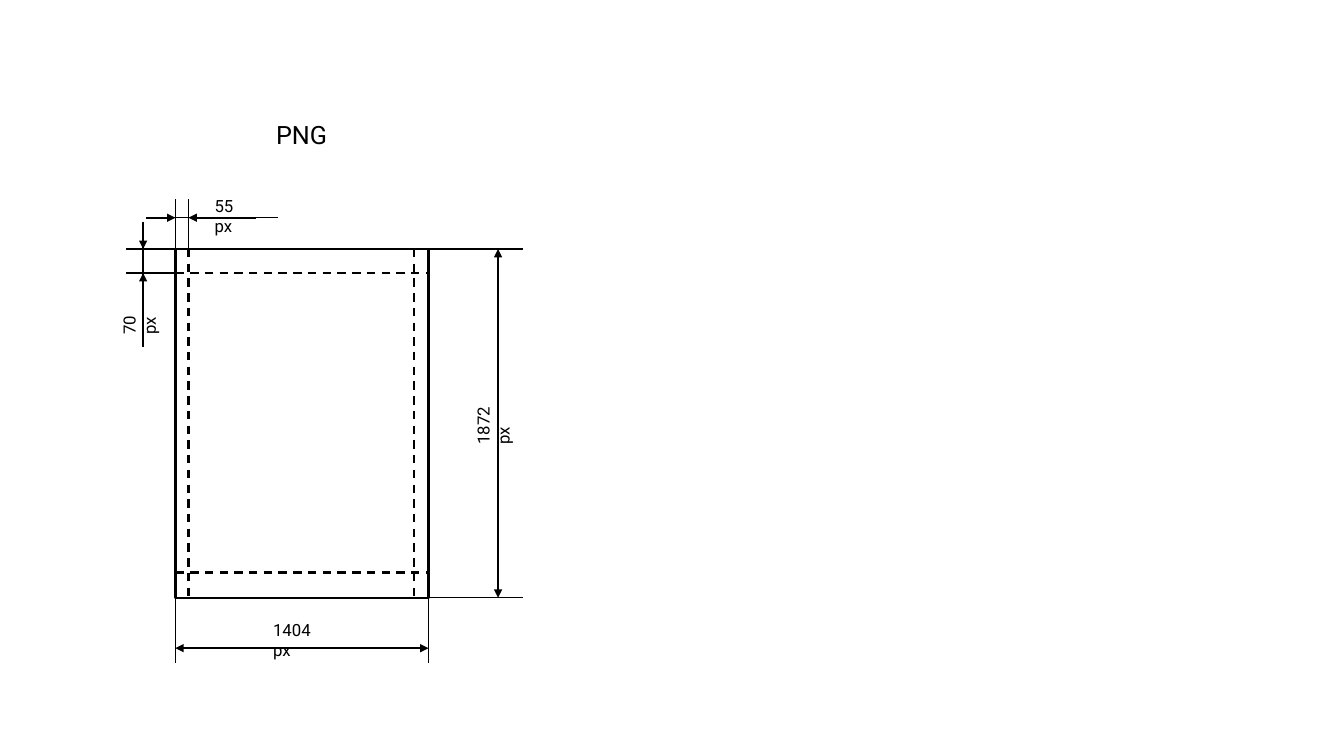
"""Build a dimension drawing of a PNG page with its margins."""
from lxml import etree
from pptx import Presentation
from pptx.dml.color import RGBColor
from pptx.enum import dml, shapes, text
from pptx.oxml.ns import qn
from pptx.util import Inches, Pt

BLACK = RGBColor(0, 0, 0)

prs = Presentation()
prs.slide_width, prs.slide_height = Inches(13.33), Inches(7.5)
s = prs.slides.add_slide(prs.slide_layouts[6])


def add_line(x1, y1, x2, y2, width=1, dashed=False, arrows=()):
    sp = s.shapes.add_connector(
        shapes.MSO_CONNECTOR.STRAIGHT, Inches(x1), Inches(y1), Inches(x2), Inches(y2))
    sp.line.color.rgb = BLACK
    sp.line.width = Pt(width)
    if dashed:
        sp.line.dash_style = dml.MSO_LINE.DASH
    ln = sp.line._get_or_add_ln()
    for end in arrows:
        etree.SubElement(ln, qn(f"a:{end}"), type="triangle")
    etree.SubElement(sp._element.spPr, qn("a:effectLst"))


def add_label(content, x, y, w, h=0.3, size=12, rotation=0):
    sp = s.shapes.add_textbox(Inches(x), Inches(y), Inches(w), Inches(h))
    sp.rotation = rotation
    tf = sp.text_frame
    tf.word_wrap = True
    tf.auto_size = text.MSO_AUTO_SIZE.NONE
    r = tf.paragraphs[0].add_run()
    r.text = content
    r.font.name = "Roboto"
    r.font.size = Pt(size)
    r.font.color.rgb = BLACK


left, top, right, bottom = 1.74, 2.47, 4.25, 5.93
inner_left, inner_right = 1.87, 4.11
inner_top, inner_bottom = 2.71, 5.68
height_x, width_y = 4.94, 6.43
margin_x, margin_y = 1.42, 2.16
both = ("headEnd", "tailEnd")
tail = ("tailEnd",)

page = s.shapes.add_shape(
    shapes.MSO_SHAPE.RECTANGLE, Inches(left), Inches(top),
    Inches(right - left), Inches(bottom - top))
page.shadow.inherit = False
page.fill.background()
page.line.color.rgb = BLACK
page.line.width = Pt(1.5)

for x in (left, right):
    add_line(x, bottom, x, 6.58)
for y in (bottom, top):
    add_line(right, y, 5.19, y)
add_line(height_x, top, height_x, bottom, width=1.5, arrows=both)
add_line(left, width_y, right, width_y, width=1.5, arrows=both)

for x in (inner_left, inner_right):
    add_line(x, top, x, bottom, width=1.5, dashed=True)
for y in (inner_top, inner_bottom):
    add_line(left, y, right, y, width=1.5, dashed=True)

for x in (inner_left, left):
    add_line(x, top, x, 1.97)
for y in (top, inner_top):
    add_line(left, y, 1.25, y)
add_line(1.49, margin_y, 2.76, margin_y)
add_line(margin_x, 2.22, margin_x, 3.44)
for start, end in ((2.54, inner_left), (1.45, left)):
    add_line(start, margin_y, end, margin_y, width=1.5, arrows=tail)
for start, end in ((3.34, inner_top), (2.2, top)):
    add_line(margin_x, start, margin_x, end, width=1.5, arrows=tail)

add_label("1404 px", 2.61, 6.1, 0.76)
add_label("1872 px", 4.41, 3.98, 0.76, rotation=270)
add_label("55 px", 2.03, 1.89, 0.58)
add_label("70 px", 0.99, 2.98, 0.58, rotation=270)
add_label("PNG", 2.64, 1.13, 0.71, h=0.4, size=18)

prs.save("out.pptx")
